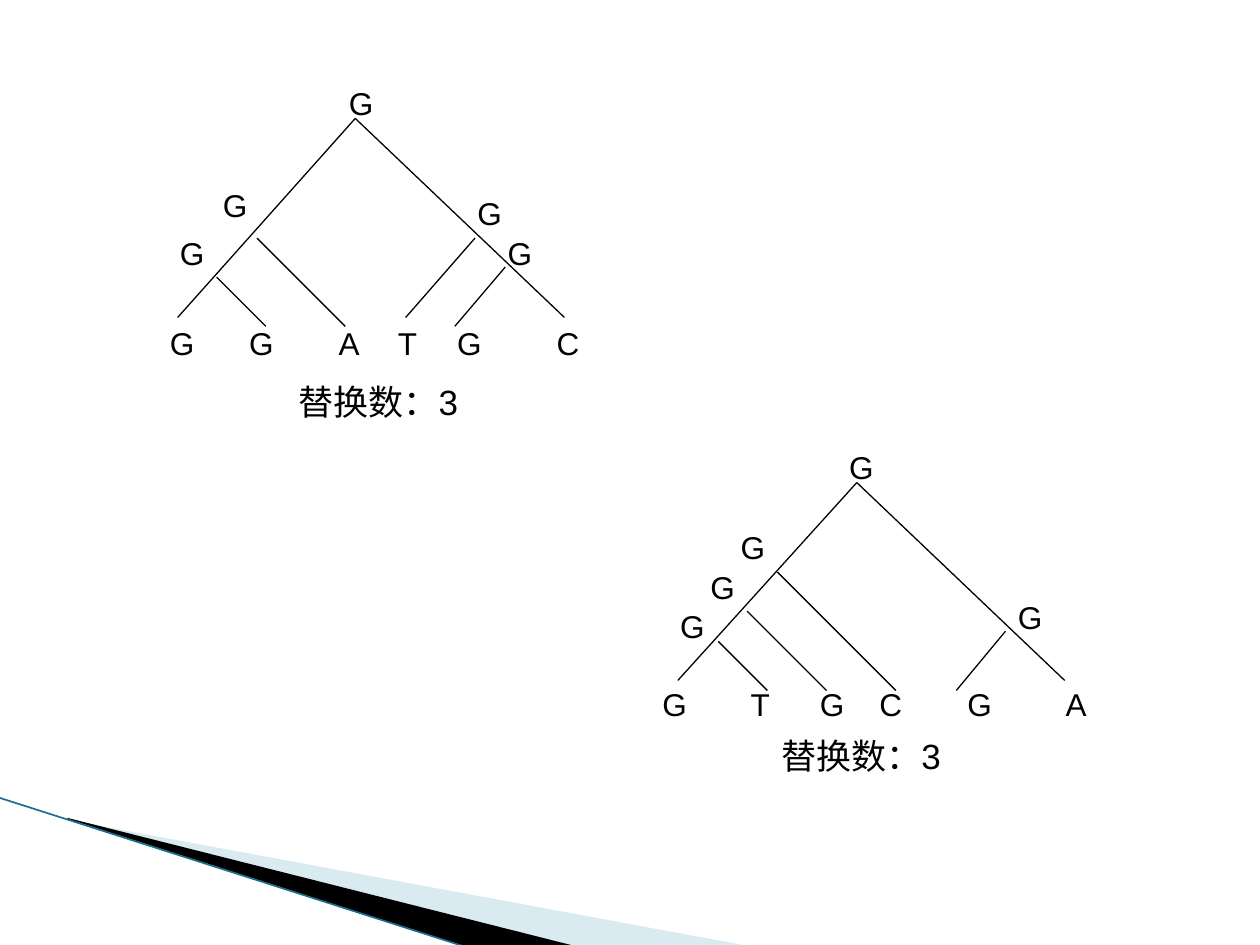
from pptx import Presentation
from pptx.dml.color import RGBColor as RGB
from pptx.enum.shapes import MSO_CONNECTOR as Conn
from pptx.enum.text import MSO_AUTO_SIZE as Auto
from pptx.oxml import parse_xml
from pptx.oxml.ns import nsdecls, qn
from pptx.util import Inches, Pt

deck = Presentation()
deck.slide_width, deck.slide_height = Inches(10), Inches(7.5)
shapes = deck.slides.add_slide(deck.slide_layouts[6]).shapes


def line(ends, color, width):
    rule = shapes.add_connector(Conn.STRAIGHT, *[Inches(v) for v in ends])
    rule.line.color.rgb = RGB.from_string(color)
    rule.line.width = Pt(width)
    rule._element.spPr.append(parse_xml(f"<a:effectLst {nsdecls('a')}/>"))


def label(text, left, top, width, height, size, wrap):
    box = shapes.add_textbox(Inches(left), Inches(top), Inches(width), Inches(height))
    frame = box.text_frame
    frame.text = text
    frame.word_wrap = wrap
    frame.auto_size = Auto.SHAPE_TO_FIT_TEXT
    font = frame.paragraphs[0].runs[0].font
    font.name, font.size = "Arial", Pt(size)
    font.color.rgb = RGB.from_string("000000")


wedges = [
    ("A0CBDC", 40, [(0.55, 6.51), (5.95, 7.51), (4.56, 7.51), (0.55, 6.5)]),
    ("000000", 100, [(0.53, 6.49), (4.57, 7.51), (3.72, 7.52), (0.54, 6.5)]),
]
for color, alpha, points in wedges:
    spots = [(Inches(x), Inches(y)) for x, y in points]
    path = shapes.build_freeform(*spots[0], scale=1.0)
    path.add_line_segments(spots[1:], close=True)
    wedge = path.convert_to_shape()
    wedge.shadow.inherit = False
    wedge.fill.solid()
    wedge.fill.fore_color.rgb = RGB.from_string(color)
    wedge.line.fill.background()
    tint = wedge._element.spPr.find(".//" + qn("a:srgbClr"))
    tint.append(parse_xml(f'<a:alpha {nsdecls("a")} val="{alpha * 1000}"/>'))
line((-0.01, 6.33, 3.71, 7.52), "17718A", 0.95)

widths = {"G": 0.4, "A": 0.37, "T": 0.35, "C": 0.38}
trees = [
    {
        "edges": [
            (2.82, 0.94, 1.41, 2.52), (2.82, 0.94, 4.48, 2.52),
            (2.74, 2.59, 2.04, 1.89), (2.11, 2.59, 1.72, 2.2),
            (3.22, 2.52, 3.77, 1.89), (3.61, 2.59, 4.01, 2.12),
        ],
        "nodes": [(2.67, 0.62), (1.67, 1.43), (1.33, 1.81), (3.69, 1.49), (3.93, 1.81)],
        "leaves": zip("GGATGC", (1.25, 1.88, 2.59, 3.06, 3.53, 4.32)),
        "base": 2.52,
        "note": (2.27, 2.97),
    },
    {
        "edges": [
            (6.8, 3.83, 5.38, 5.4), (6.8, 3.83, 8.45, 5.4),
            (6.56, 5.48, 5.93, 4.85), (6.09, 5.48, 5.7, 5.09),
            (7.59, 5.48, 7.98, 5.01), (6.17, 4.54, 7.11, 5.48),
        ],
        "nodes": [(6.64, 3.51), (5.78, 4.14), (5.54, 4.46), (5.3, 4.77), (7.98, 4.7)],
        "leaves": zip("GTGCGA", (5.16, 5.86, 6.41, 6.88, 7.58, 8.36)),
        "base": 5.39,
        "note": (6.1, 5.78),
    },
]
for tree in trees:
    for edge in tree["edges"]:
        line(edge, "000000", 0.75)
    for left, top in tree["nodes"]:
        label("G", left, top, widths["G"], 0.4, 18, False)
    for base, left in tree["leaves"]:
        label(base, left, tree["base"], widths[base], 0.4, 18, False)
    label("替换数：3", *tree["note"], 2.52, 0.43, 20, True)

deck.save("out.pptx")
